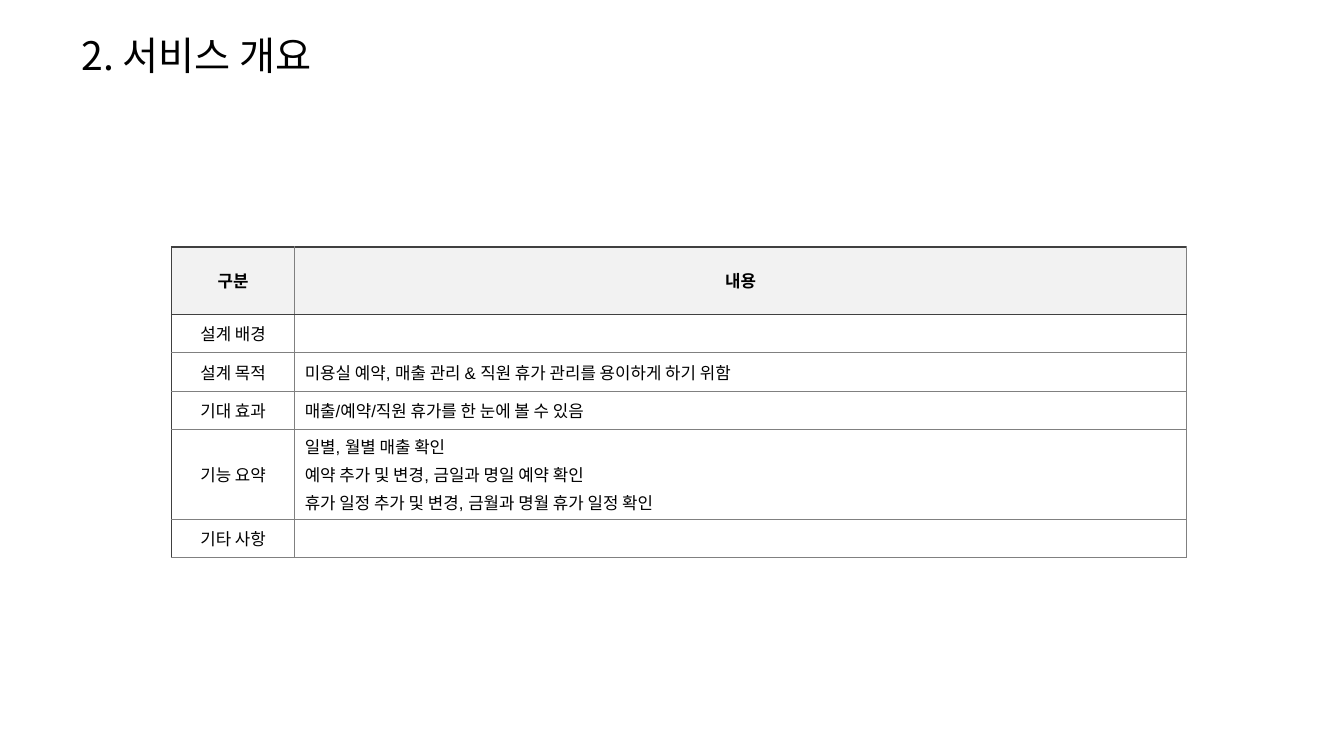
from lxml import etree
from pptx import Presentation
from pptx.dml.color import RGBColor
from pptx.enum.text import MSO_ANCHOR, PP_ALIGN
from pptx.oxml.ns import qn
from pptx.util import Pt

MIDDLE = MSO_ANCHOR.MIDDLE
LEFT, CENTER = PP_ALIGN.LEFT, PP_ALIGN.CENTER
BLACK, WHITE, HEADER_GRAY = "000000", "FFFFFF", "F2F2F2"
DARK_LINE, GRAY_LINE = ("404040", 1), ("808080", 0.75)


def color(hex_value):
    return RGBColor.from_string(hex_value)


def set_border(cell, side, line):
    line_color, width = line
    border = etree.Element(qn(f"a:{side}"), w=str(Pt(width)))
    fill = etree.SubElement(border, qn("a:solidFill"))
    etree.SubElement(fill, qn("a:srgbClr"), val=line_color)
    properties = cell._tc.get_or_add_tcPr()
    # Borders come before the cell fill, in the order left, right, top, bottom
    properties.insert(["lnL", "lnR", "lnT", "lnB"].index(side), border)


prs = Presentation()
prs.slide_width, prs.slide_height = Pt(960), Pt(540)
slide = prs.slides.add_slide(prs.slide_layouts[5])

# Title
title = slide.shapes.title
title.left, title.top, title.width, title.height = Pt(51), Pt(23.5), Pt(868), Pt(35)
title.text_frame.text = "2. 서비스 개요"
title.text_frame.vertical_anchor = MIDDLE
heading = title.text_frame.paragraphs[0]
heading.alignment = LEFT
heading.line_spacing = 0.9
heading.font.size = Pt(28)
heading.font.name = "Noto Sans CJK KR"
heading.font.color.rgb = color(BLACK)

# Overview: label, content, row height
overview_rows = [
    ("구분", "내용", 48.2),
    ("설계 배경", "", 27.4),
    ("설계 목적", "미용실 예약, 매출 관리 & 직원 휴가 관리를 용이하게 하기 위함", 27.4),
    ("기대 효과", "매출/예약/직원 휴가를 한 눈에 볼 수 있음", 27.4),
    ("기능 요약", "일별, 월별 매출 확인\n"
     "예약 추가 및 변경, 금일과 명일 예약 확인\n"
     "휴가 일정 추가 및 변경, 금월과 명월 휴가 일정 확인", 64.2),
    ("기타 사항", "", 27.4),
]
column_widths = [88, 637]
total_height = sum(height for _, _, height in overview_rows)
overview = slide.shapes.add_table(
    len(overview_rows), len(column_widths),
    Pt(122.5), Pt(176.4), Pt(sum(column_widths)), Pt(total_height)).table
overview.first_row = overview.horz_banding = False
for column, width in zip(overview.columns, column_widths):
    column.width = Pt(width)

for row_index, (label, content, height) in enumerate(overview_rows):
    overview.rows[row_index].height = Pt(height)
    is_header = row_index == 0
    for column_index, text in enumerate((label, content)):
        cell = overview.cell(row_index, column_index)
        cell.text = text
        cell.vertical_anchor = MIDDLE
        cell.fill.solid()
        cell.fill.fore_color.rgb = color(HEADER_GRAY if is_header else WHITE)

        # Cell text
        for paragraph in cell.text_frame.paragraphs:
            paragraph.alignment = CENTER if is_header or column_index == 0 else LEFT
            # Two labels sit without space above
            if label not in ("설계 목적", "기능 요약") or column_index == 1:
                paragraph.space_before = Pt(2.4)
            paragraph.font.size = Pt(12)
            paragraph.font.name = "Arial"
            paragraph.font.bold = is_header
            paragraph.font.color.rgb = color(BLACK)

        # Dark lines around the header and down the left edge
        set_border(cell, "lnL", DARK_LINE if column_index == 0 else GRAY_LINE)
        set_border(cell, "lnR", GRAY_LINE)
        set_border(cell, "lnT", DARK_LINE if row_index <= 1 else GRAY_LINE)
        set_border(cell, "lnB", DARK_LINE if is_header else GRAY_LINE)

prs.save("out.pptx")
